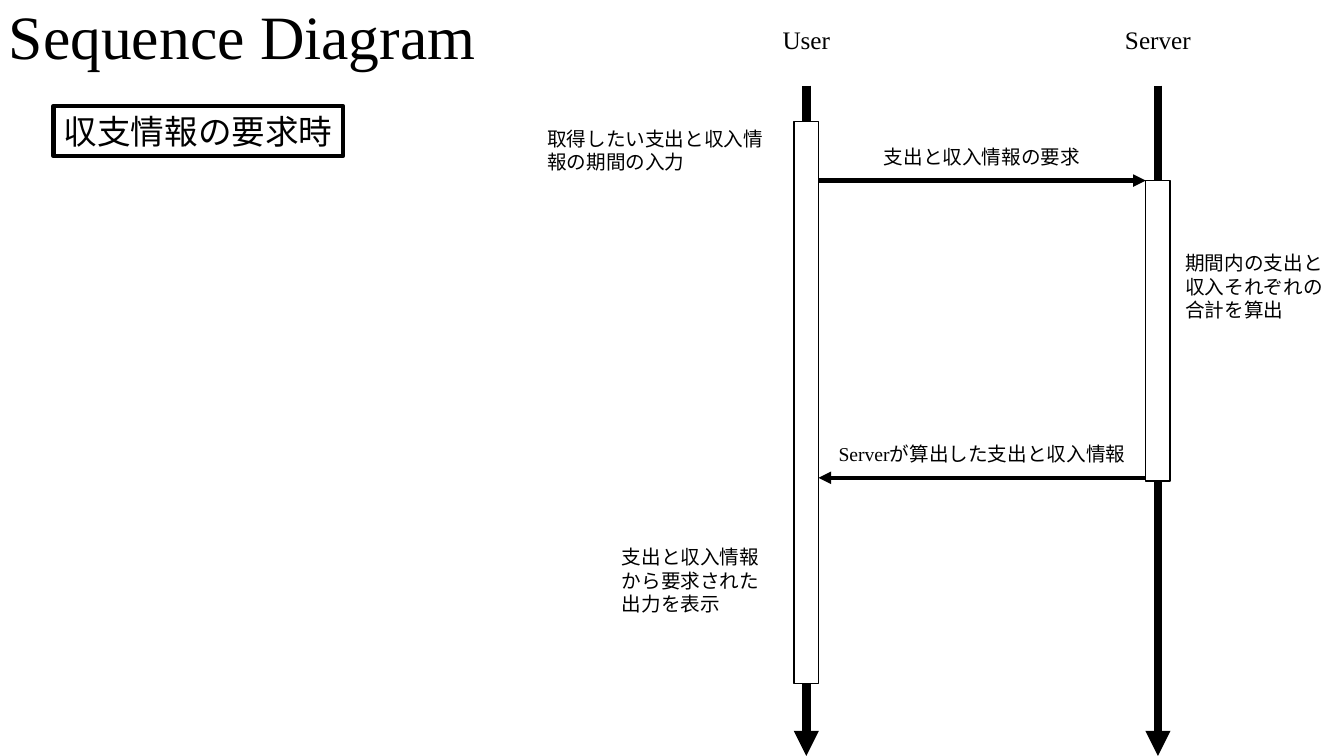
from lxml import etree
from pptx import Presentation
from pptx import util as u
from pptx.dml.color import RGBColor
from pptx.enum import shapes, text
from pptx.oxml import ns

BLACK = RGBColor(0, 0, 0)
WHITE = RGBColor(255, 255, 255)
FONT = "Times New Roman"
LEFT, CENTER = text.PP_ALIGN.LEFT, text.PP_ALIGN.CENTER

TITLE = ("Sequence Diagram", (-0.03, -0.84, 29.21, 3.68))
SCENARIO = ("収支情報の要求時", (1.35, 2.67, 7.29, 1.27))
LIFELINES = {
    "User": {"x": 20.32, "active": (3.07, 17.22)},
    "Server": {"x": 29.18, "active": (4.55, 12.12)},
}
MESSAGES = [
    ("User", "Server", 4.55, "支出と収入情報の要求"),
    ("Server", "User", 12.04, "Serverが算出した支出と収入情報"),
]
NOTES = [
    ("取得したい支出と収入情報の期間の入力", (13.54, 3.07, 6.25, 1.45)),
    ("期間内の支出と収入それぞれの合計を算出", (29.62, 6.2, 4.27, 2.06)),
    ("支出と収入情報から要求された出力を表示", (15.42, 13.61, 4.27, 2.06)),
]
LINE_TOP, LINE_END = 2.16, 19.05
BAR_WIDTH = 0.61
NAME_BOX = (6.07, 0.48, 1.02)
MESSAGE_BOX = (8.15, 1.02, 0.86)


def lengths(values):
    return [u.Cm(value) for value in values]


def write(shape, words, size, align, spacing=None):
    shape.text_frame.text = words
    paragraph = shape.text_frame.paragraphs[0]
    paragraph.alignment = align
    paragraph.line_spacing = spacing
    font = paragraph.runs[0].font
    for name, value in {"name": FONT, "size": u.Pt(size)}.items():
        setattr(font, name, value)
    font.color.rgb = BLACK


def add_text(parent, words, box, size=14, align=LEFT):
    shape = parent.add_textbox(*lengths(box))
    shape.text_frame.word_wrap = True
    write(shape, words, size, align)


def add_box(parent, box, weight):
    shape = parent.add_shape(shapes.MSO_SHAPE.RECTANGLE, *lengths(box))
    shape.shadow.inherit = False
    shape.fill.solid()
    shape.fill.fore_color.rgb = WHITE
    shape.line.color.rgb = BLACK
    shape.line.width = u.Pt(weight)
    return shape


def add_arrow(parent, points, weight):
    arrow = parent.add_connector(shapes.MSO_CONNECTOR.STRAIGHT, *lengths(points))
    arrow.line.color.rgb = BLACK
    arrow.line.width = u.Pt(weight)
    properties = arrow.element.spPr
    outline = properties.find(ns.qn("a:ln"))
    etree.SubElement(outline, ns.qn("a:tailEnd"), type="triangle")
    etree.SubElement(properties, ns.qn("a:effectLst"))


def add_lifeline(slide, name, x):
    group = slide.shapes.add_group_shape().shapes
    add_arrow(group, (x, LINE_TOP, x, LINE_END), 6)
    width, top, height = NAME_BOX
    add_text(group, name, (x - width / 2, top, width, height), 18, CENTER)


def add_message(slide, sender, receiver, y, words):
    start, end = LIFELINES[sender]["x"], LIFELINES[receiver]["x"]
    edge = BAR_WIDTH / 2 if end > start else -BAR_WIDTH / 2
    add_arrow(slide.shapes, (start + edge, y, end - edge, y), 3)
    width, rise, height = MESSAGE_BOX
    box = ((start + end - width) / 2, y - rise, width, height)
    add_text(slide.shapes, words, box, align=CENTER)


def main():
    presentation = Presentation()
    presentation.slide_width, presentation.slide_height = lengths((33.87, 19.05))
    slide = presentation.slides.add_slide(presentation.slide_layouts[5])

    title = slide.shapes.title
    words, box = TITLE
    for name, value in zip(("left", "top", "width", "height"), lengths(box)):
        setattr(title, name, value)
    title.text_frame.vertical_anchor = text.MSO_ANCHOR.MIDDLE
    write(title, words, 44, LEFT, 0.9)

    for name, lifeline in LIFELINES.items():
        x, (top, bottom) = lifeline["x"], lifeline["active"]
        add_lifeline(slide, name, x)
        add_box(slide.shapes, (x - BAR_WIDTH / 2, top, BAR_WIDTH, bottom - top), 1)
    for message in MESSAGES:
        add_message(slide, *message)
    for words, box in NOTES:
        add_text(slide.shapes, words, box)

    words, box = SCENARIO
    scenario = add_box(slide.shapes, box, 3)
    scenario.fill.background()
    write(scenario, words, 24, CENTER)
    presentation.save("out.pptx")


if __name__ == "__main__":
    main()
